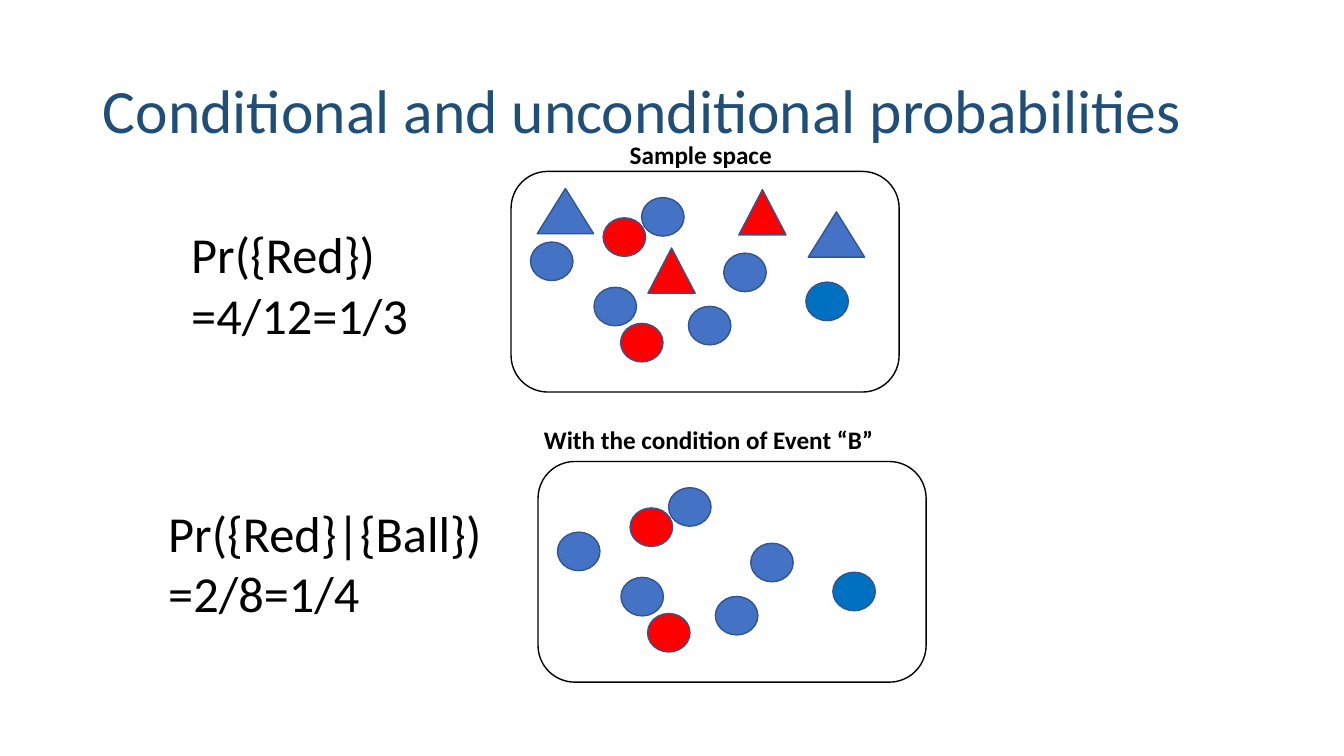
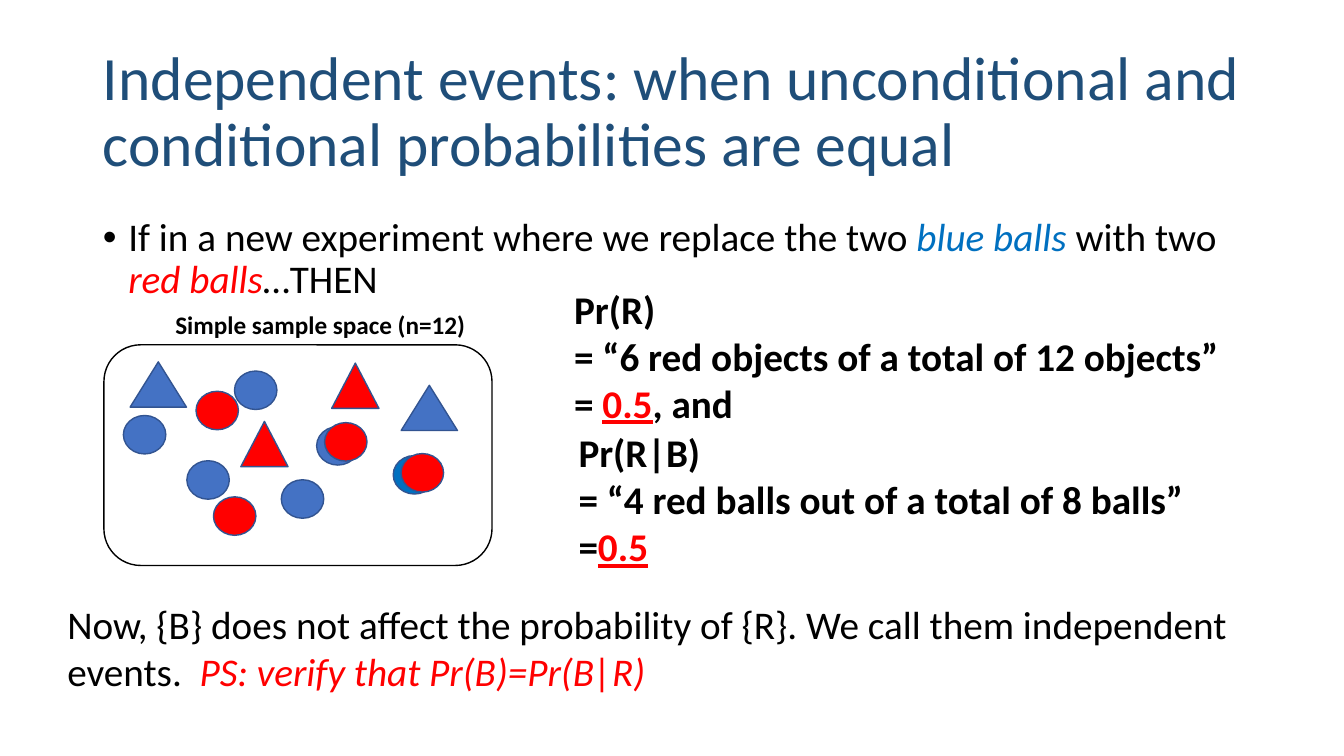
from lxml import etree
from pptx import Presentation
from pptx import util as u
from pptx.dml.color import RGBColor
from pptx.enum import shapes, text
from pptx.oxml.ns import qn

COLORS = {
    "title": "1F4E79", "ink": "000000", "red": "FF0000",
    "blue": "4472C4", "deep": "0070C0", "edge": "325491",
}
FONT = "Calibri"
TITLE_BOX = (2.34, 1.02, 29.21, 3.68)
FRAME_SIZE = (9.78, 5.56)
BALL_SIZE = (1.07, 0.97)
TRIANGLE_HEIGHT = 1.14

BALLS = [
    (0.49, 1.78, "blue"), (5.36, 2.06, "blue"), (2.09, 2.92, "blue"),
    (2.76, 3.83, "red"), (2.32, 1.17, "red"), (3.29, 0.66, "blue"),
    (4.47, 3.4, "blue"),
]
TRIANGLES = [
    (7.49, 1.02, 1.42, "blue"), (3.45, 1.93, 1.19, "red"),
    (5.74, 0.46, 1.19, "red"), (0.66, 0.43, 1.42, "blue"),
]
REPLACED_BALLS = [(7.49, 2.74, "red"), (5.56, 1.96, "red")]

RED_ITALIC = {"color": "red", "italic": True}
RED_RESULT = {"color": "red", "underline": True}


def rgb(name):
    return RGBColor.from_string(COLORS[name])


def cm(box):
    return [u.Cm(v) for v in box]


def place(sp, box):
    for name, value in zip(("left", "top", "width", "height"), cm(box)):
        setattr(sp, name, value)


def write(tf, paragraphs, size, color="ink", **base):
    for i, runs in enumerate(paragraphs):
        p = tf.paragraphs[0] if i == 0 else tf.add_paragraph()
        p.alignment = text.PP_ALIGN.LEFT
        for content, changes in runs:
            fmt = {"name": FONT, "size": u.Pt(size), "color": color, **base, **changes}
            r = p.add_run()
            r.text = content
            r.font.color.rgb = rgb(fmt.pop("color"))
            for name, value in fmt.items():
                setattr(r.font, name, value)


def plain(*lines):
    return [[(line, {})] for line in lines]


def add_text(s, box, paragraphs, size, wrap=False, **base):
    tf = s.shapes.add_textbox(*cm(box)).text_frame
    tf.word_wrap = wrap
    tf.auto_size = text.MSO_AUTO_SIZE.SHAPE_TO_FIT_TEXT
    write(tf, paragraphs, size, **base)


def add_figure(s, kind, box, fill=None, line="edge"):
    sp = s.shapes.add_shape(kind, *cm(box))
    sp.shadow.inherit = False
    if fill:
        sp.fill.solid()
        sp.fill.fore_color.rgb = rgb(fill)
    else:
        sp.fill.background()
    sp.line.color.rgb = rgb(line)
    sp.line.width = u.Pt(1)


def fill_placeholder(sp, box, paragraphs, size, anchor, color="ink"):
    place(sp, box)
    tf = sp.text_frame
    tf.word_wrap = True
    tf.auto_size = text.MSO_AUTO_SIZE.NONE
    tf.vertical_anchor = anchor
    write(tf, paragraphs, size, color)
    for p in tf.paragraphs:
        p.line_spacing = 0.9
        p.space_before = u.Pt(0)


def add_slide(prs, layout, title):
    s = prs.slides.add_slide(prs.slide_layouts.get_by_name(layout))
    fill_placeholder(s.shapes.title, TITLE_BOX, plain(title), 44,
                     text.MSO_ANCHOR.MIDDLE, "title")
    return s


def add_bullets(sp, box, paragraphs):
    fill_placeholder(sp, box, paragraphs, 28, text.MSO_ANCHOR.TOP)
    for p in sp.text_frame.paragraphs:
        pPr = p._p.get_or_add_pPr()
        pPr.set("marL", str(u.Cm(0.64)))
        pPr.set("indent", str(-u.Cm(0.64)))
        etree.SubElement(pPr, qn("a:buFont")).set("typeface", "Arial")
        etree.SubElement(pPr, qn("a:buChar")).set("char", "•")


def add_sample_space(s, x, y, caption, caption_box, triangles=(), extra=(), deep_x=7.43):
    shape = shapes.MSO_SHAPE
    add_figure(s, shape.ROUNDED_RECTANGLE, (x, y, *FRAME_SIZE), line="ink")
    for dx, dy, color in [*BALLS, (deep_x, 2.79, "deep"), *extra]:
        add_figure(s, shape.OVAL, (x + dx, y + dy, *BALL_SIZE), color)
    for dx, dy, width, color in triangles:
        add_figure(s, shape.ISOSCELES_TRIANGLE,
                   (x + dx, y + dy, width, TRIANGLE_HEIGHT), color)
    dx, dy, width = caption_box
    add_text(s, (x + dx, y + dy, width, 1.02), plain(caption), 18, bold=True)


def conditional_slide(prs):
    s = add_slide(prs, "Title Only", "Conditional and unconditional probabilities")
    add_sample_space(s, 12.88, 4.32, "Sample space", (2.74, -0.94, 4.11), TRIANGLES)
    add_sample_space(s, 13.56, 11.63, "With the condition of Event “B”",
                     (-0.1, -1.07, 8.89))
    add_text(s, (4.57, 5.51, 16.94, 3.33), plain("Pr({Red})", "=4/12=1/3"), 36, wrap=True)
    add_text(s, (3.99, 12.52, 8.48, 3.33), plain("Pr({Red}|{Ball})", "=2/8=1/4"), 36)


def independent_slide(prs):
    s = add_slide(prs, "Title and Content",
                  "Independent events: when unconditional and conditional "
                  "probabilities are equal")
    add_bullets(s.placeholders[1], (2.34, 5.36, 29.21, 12.09), [[
        ("If in a new experiment where we replace the two ", {}),
        ("blue balls ", {"color": "deep", "italic": True}),
        ("with two ", {}),
        ("red balls", RED_ITALIC),
        ("…THEN", {}),
    ]])
    add_sample_space(s, 2.62, 8.69, "Simple sample space (n=12)", (1.55, -1.02, 7.87),
                     TRIANGLES, REPLACED_BALLS, deep_x=7.29)
    add_text(s, (14.22, 7.06, 16.94, 3.84), [
        *plain("Pr(R)", "= “6 red objects of a total of 12 objects”"),
        [("= ", {}), ("0.5", RED_RESULT), (", and", {})],
    ], 28, bold=True)
    add_text(s, (14.33, 10.67, 15.93, 3.84), [
        *plain("Pr(R|B)", "= “4 red balls out of a total of 8 balls”"),
        [("=", {}), ("0.5", RED_RESULT)],
    ], 28, bold=True)
    add_text(s, (1.45, 15.01, 30.96, 2.64), [[
        ("Now, {B} does not affect the probability of {R}. "
         "We call them independent events.  ", {}),
        ("PS: verify that Pr(B)=Pr(B|R)", RED_ITALIC),
    ]], 28, wrap=True)


def main():
    prs = Presentation()
    prs.slide_width, prs.slide_height = cm((33.87, 19.05))
    conditional_slide(prs)
    independent_slide(prs)
    prs.save("out.pptx")


if __name__ == "__main__":
    main()
